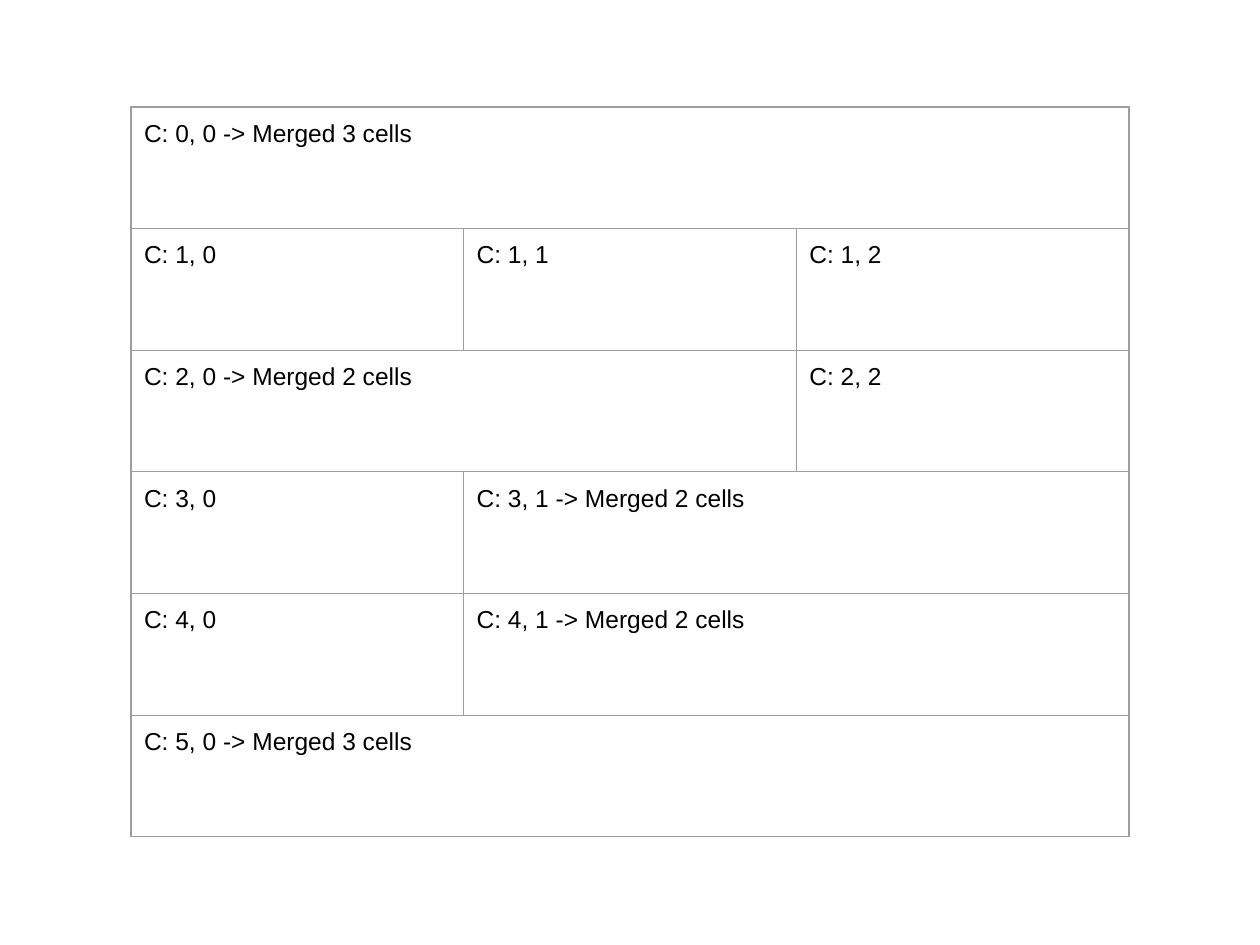
from lxml.etree import SubElement as Sub
from pptx import Presentation
from pptx.dml.color import RGBColor
from pptx.oxml.ns import qn
from pptx.util import Pt

# Content: each row lists (text, columns spanned)
ROWS = [
    [("C: 0, 0 -> Merged 3 cells", 3)],
    [("C: 1, 0", 1), ("C: 1, 1", 1), ("C: 1, 2", 1)],
    [("C: 2, 0 -> Merged 2 cells", 2), ("C: 2, 2", 1)],
    [("C: 3, 0", 1), ("C: 3, 1 -> Merged 2 cells", 2)],
    [("C: 4, 0", 1), ("C: 4, 1 -> Merged 2 cells", 2)],
    [("C: 5, 0 -> Merged 3 cells", 3)],
]
COLS = 3

BLACK = RGBColor(0x00, 0x00, 0x00)
GREY = RGBColor(0x9E, 0x9E, 0x9E)
FONT = {"name": "Arial", "size": Pt(14)}
RULE = Pt(0.75)


def px(n):
    return round(n * 914400 / 126)


PAD = {f"margin_{side}": px(13) for side in ("left", "right", "top", "bottom")}
LOOK = {"first_row": False, "horz_banding": False}


def style(item, vals):
    for key, val in vals.items():
        setattr(item, key, val)


def frame(cell):
    """Clear the fill and draw a grey line on all four sides."""
    cell.fill.background()
    props = cell._tc.get_or_add_tcPr()
    for i, tag in enumerate(("a:lnL", "a:lnR", "a:lnT", "a:lnB")):
        line = Sub(props, qn(tag), w=str(RULE))
        fill = Sub(line, qn("a:solidFill"))
        Sub(fill, qn("a:srgbClr"), val=str(GREY))
        props.insert(i, line)


def write(cell, text):
    para = cell.text_frame.paragraphs[0]
    run = para.add_run()
    run.text = text
    style(run.font, FONT)
    run.font.color.rgb = BLACK


# Slide
deck = Presentation()
deck.slide_width, deck.slide_height = px(1260), px(945)
slide = deck.slides.add_slide(deck.slide_layouts[6])

# Table with equal rows and columns
box = (px(131), px(107), px(998), px(730))
table = slide.shapes.add_table(len(ROWS), COLS, *box).table
style(table, LOOK)
for cell in table.iter_cells():
    style(cell, PAD)
    frame(cell)

# Merged cells and text
for r, row in enumerate(ROWS):
    c = 0
    for text, span in row:
        cell = table.cell(r, c)
        if span > 1:
            cell.merge(table.cell(r, c + span - 1))
        write(cell, text)
        c += span

deck.save("out.pptx")
